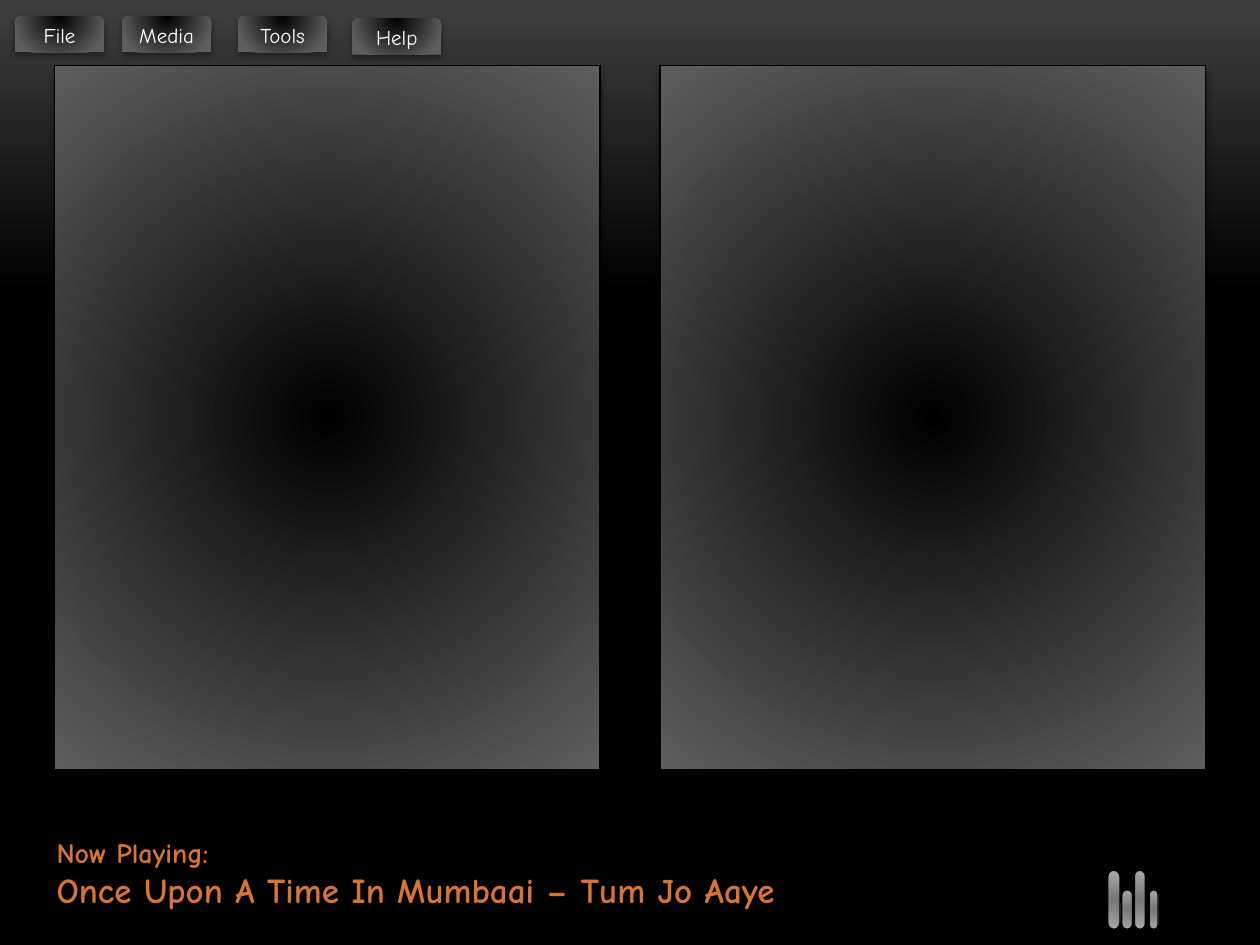
import pptx
import pptx.util
import pptx.dml.color
import pptx.enum.shapes
import pptx.enum.text
import pptx.oxml
import pptx.oxml.ns

Pt = pptx.util.Pt
qn = pptx.oxml.ns.qn
MSO = pptx.enum.shapes.MSO_SHAPE
NS = pptx.oxml.ns.nsdecls("a")

COLORS = {
    "black": "000000", "white": "FFFFFF", "top": "3F3F3F", "panel": "5E5E5E",
    "bar_in": "767676", "bar_out": "A9A9A9",
    "glow": "FFB084", "orange": "D77435", "rust": "CF610F",
}
CENTRE = (100, 100, 100, 100)
TOP_CENTRE = (50, 0, 50, 100)


class PlayerSlide:
    def __init__(self, s, font="Comic Neue"):
        self.s = s
        self.font = font

    def gradient(self, fill, parent, stops, focus=None):
        """Linear downward gradient, or a circular one around focus."""
        fill.gradient()
        gs = "".join(
            f'<a:gs pos="{pos * 1000}"><a:srgbClr val="{COLORS[name]}"/></a:gs>'
            for pos, name in stops)
        if focus:
            rect = " ".join(f'{k}="{v * 1000}"' for k, v in zip("ltrb", focus))
            kind = f'<a:path path="circle"><a:fillToRect {rect}/></a:path>'
        else:
            kind = '<a:lin ang="5400000" scaled="0"/>'
        new = pptx.oxml.parse_xml(
            f'<a:gradFill {NS} rotWithShape="1"><a:gsLst>{gs}</a:gsLst>{kind}</a:gradFill>')
        parent.replace(parent.find(qn("a:gradFill")), new)

    def background(self, stops):
        fill = self.s.background.fill
        fill.gradient()
        self.gradient(fill, self.s._element.find(".//" + qn("p:bgPr")), stops)

    def shadow(self, sp, blur, dist):
        sp.shadow.inherit = False
        sp._element.spPr.find(qn("a:effectLst")).append(pptx.oxml.parse_xml(
            f'<a:outerShdw {NS} blurRad="{Pt(blur)}" dist="{Pt(dist)}" dir="5400000"'
            f' rotWithShape="0"><a:srgbClr val="{COLORS["black"]}">'
            '<a:alpha val="40000"/></a:srgbClr></a:outerShdw>'))

    def shape(self, kind, box, inner, outer, focus, blur, dist, line=True):
        sp = self.s.shapes.add_shape(kind, *map(Pt, box))
        self.gradient(sp.fill, sp._element.spPr, [(0, inner), (100, outer)], focus)
        if line:
            sp.line.color.rgb = pptx.dml.color.RGBColor.from_string(COLORS["black"])
            sp.line.width = Pt(0.75)
        else:
            sp.line.fill.background()
        self.shadow(sp, blur, dist)
        return sp

    def bar(self, x, y, w, h):
        sp = self.shape(MSO.ROUNDED_RECTANGLE, (x, y, w, h),
                        "bar_in", "bar_out", CENTRE, 3, 2)
        sp.adjustments[0] = 0.5

    def panel(self, x, y, w, h):
        return self.shape(MSO.RECTANGLE, (x, y, w, h),
                          "black", "panel", CENTRE, 4, 3.4)

    def button(self, label, x, y, w, h):
        sp = self.shape(MSO.ROUND_2_SAME_RECTANGLE, (x, y, w, h),
                        "black", "panel", TOP_CENTRE, 4, 2, line=False)
        tf = sp.text_frame
        tf.text = label
        tf.vertical_anchor = pptx.enum.text.MSO_ANCHOR.MIDDLE
        p = tf.paragraphs[0]
        p.alignment = pptx.enum.text.PP_ALIGN.CENTER
        r = p.runs[0]
        r.font.name = self.font
        r.font.size = Pt(12)
        r.font.color.rgb = pptx.dml.color.RGBColor.from_string(COLORS["white"])

    def caption(self, lines, x, y, w, h):
        sp = self.s.shapes.add_textbox(*map(Pt, (x, y, w, h)))
        tf = sp.text_frame
        tf.word_wrap = True
        tf.auto_size = pptx.enum.text.MSO_AUTO_SIZE.SHAPE_TO_FIT_TEXT
        tf.text = "\n".join(text for text, size in lines)
        for p, (text, size) in zip(tf.paragraphs, lines):
            r = p.runs[0]
            r.font.name = self.font
            r.font.size = Pt(size)
            r.font.bold = True
            self.gradient(r.font.fill, r.font._element,
                          [(0, "glow"), (75, "orange"), (100, "rust")])


def main():
    prs = pptx.Presentation()
    prs.slide_width, prs.slide_height = Pt(720), Pt(540)
    slide = PlayerSlide(prs.slides.add_slide(prs.slide_layouts[6]))
    slide.background([(0, "top"), (31, "black"), (100, "black")])

    # Equalizer bars, standing on one baseline
    base = 531
    for x, w, h in [(656.75, 5, 22.5), (633, 7, 33.75),
                    (641, 6.25, 22.5), (648.25, 6.25, 33.75)]:
        slide.bar(x, base - h, w, h)

    # Current track
    slide.caption([("Now Playing:", 16),
                   ("Once Upon A Time In Mumbaai – Tum Jo Aaye", 20)],
                  25.2, 473.75, 601.2, 51)

    # Two mirrored panels
    margin, width = 31.2, 311.6
    for x in (margin, 720 - margin - width):
        slide.panel(x, 37.5, width, 402.25)

    # Menu buttons
    for label, x, y in [("File", 8.5, 9.25), ("Help", 201.25, 10.5),
                        ("Tools", 136, 9.25), ("Media", 69.75, 9.25)]:
        slide.button(label, x, y, 51, 20.75)

    prs.save("out.pptx")


if __name__ == "__main__":
    main()
